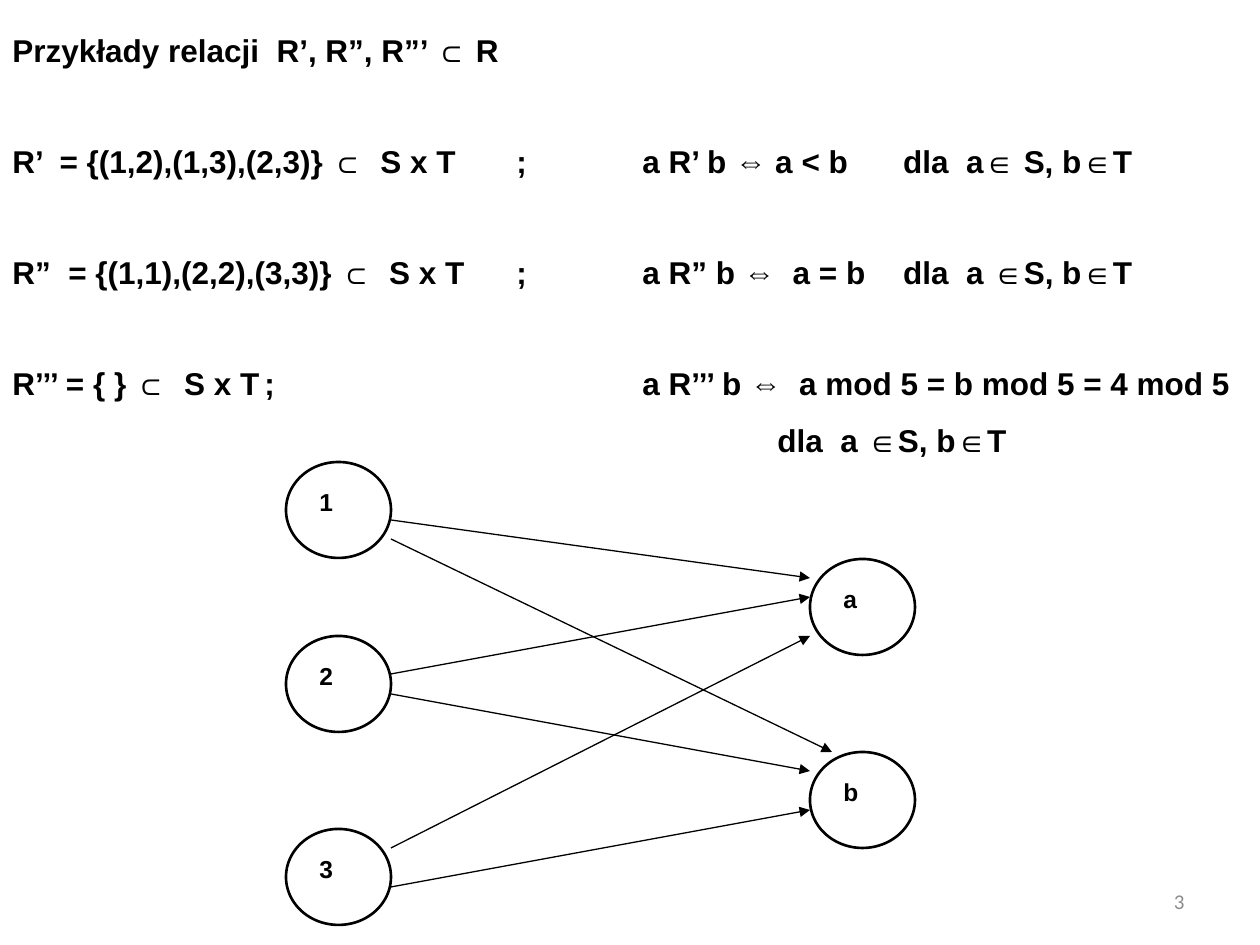
"""Build a slide with example relations and a bipartite arrow diagram."""
from lxml import etree
from pptx import Presentation
from pptx.dml.color import RGBColor
from pptx.enum.shapes import MSO_CONNECTOR, MSO_SHAPE
from pptx.enum.text import MSO_ANCHOR, PP_ALIGN
from pptx.oxml.ns import qn
from pptx.util import Pt

PX = 914400 // 126
STRAIGHT = MSO_CONNECTOR.STRAIGHT
OVAL, RECTANGLE = MSO_SHAPE.OVAL, MSO_SHAPE.RECTANGLE
MIDDLE, TOP = MSO_ANCHOR.MIDDLE, MSO_ANCHOR.TOP
JUSTIFY, LEFT, RIGHT = PP_ALIGN.JUSTIFY, PP_ALIGN.LEFT, PP_ALIGN.RIGHT


def color(value):
    return RGBColor.from_string(value)


def write(paragraph, text, size, face="Arial", ink="000000", bold=True):
    run = paragraph.add_run()
    run.text = text
    run.font.size = Pt(size)
    run.font.name = face
    run.font.bold = bold
    run.font.color.rgb = color(ink)


deck = Presentation()
deck.slide_width, deck.slide_height = 1260 * PX, 945 * PX
slide = deck.slides.add_slide(deck.slide_layouts[6])
shapes = slide.shapes

relations = [
    ("Przykłady relacji  R’, R”, R”’ ⊂ R", 0, 0, []),
    ("R’  = {(1,2),(1,3),(2,3)} ⊂  S x T\t;\ta R’ b ⇔ a < b\t dla  a∈ S, b∈T", 31, 0, [504, 630, 882]),
    ("R”  = {(1,1),(2,2),(3,3)} ⊂  S x T\t;\ta R” b ⇔  a = b\t dla  a ∈S, b∈T", 31, 0, [504, 630, 882]),
    ("R’’’ = { } ⊂  S x T\t;\ta R’’’ b ⇔  a mod 5 = b mod 5 = 4 mod 5", 31, 0, [252, 630]),
    ("dla  a ∈S, b∈T", 0, 765, []),
]
examples = shapes.add_textbox(0, 0, 1260 * PX, 471 * PX).text_frame
examples.word_wrap = True
examples.vertical_anchor = MIDDLE
for index, (text, gap, indent, stops) in enumerate(relations):
    relation = examples.add_paragraph() if index else examples.paragraphs[0]
    relation.alignment = JUSTIFY
    relation.line_spacing = 1.5
    relation.space_before = Pt(gap)
    properties = relation._p.get_or_add_pPr()
    properties.set("marL", str(indent * PX))
    if stops:
        tabs = etree.SubElement(properties, qn("a:tabLst"))
        for stop in stops:
            etree.SubElement(tabs, qn("a:tab"), pos=str(stop * PX), algn="l")
    write(relation, text, 18)

nodes = [("1", 286, 462), ("2", 286, 636), ("3", 286, 829), ("a", 810, 559), ("b", 810, 752)]
for name, x, y in nodes:
    circle = shapes.add_shape(OVAL, x * PX, y * PX, 105 * PX, 96 * PX)
    label = shapes.add_shape(RECTANGLE, (x + 21) * PX, (y + 19) * PX, 63 * PX, 58 * PX)
    for part in (circle, label):
        part.shadow.inherit = False
        part.fill.solid()
        part.fill.fore_color.rgb = color("FFFFFF")
    circle.line.color.rgb = color("000000")
    circle.line.width = Pt(1.5)
    label.line.fill.background()
    label.text_frame.vertical_anchor = TOP
    caption = label.text_frame.paragraphs[0]
    caption.alignment = LEFT
    caption.space_after = Pt(10)
    write(caption, name, 14)

arrows = [
    (520, 810, 578), (539, 832, 752),
    (674, 810, 597), (694, 810, 771),
    (848, 810, 636), (887, 810, 810),
]
for start_y, end_x, end_y in arrows:
    arrow = shapes.add_connector(STRAIGHT, 391 * PX, start_y * PX, end_x * PX, end_y * PX)
    arrow.line.color.rgb = color("000000")
    arrow.line.width = Pt(0.75)
    etree.SubElement(arrow.line._get_or_add_ln(), qn("a:tailEnd"), type="triangle")
    etree.SubElement(arrow._element.spPr, qn("a:effectLst"))

footer = shapes.add_textbox(903 * PX, 876 * PX, 294 * PX, 50 * PX).text_frame
footer.word_wrap = True
footer.vertical_anchor = MIDDLE
page_number = footer.paragraphs[0]
page_number.alignment = RIGHT
write(page_number, "3", 12, "Calibri", "8C8C8C", False)

deck.save("out.pptx")
